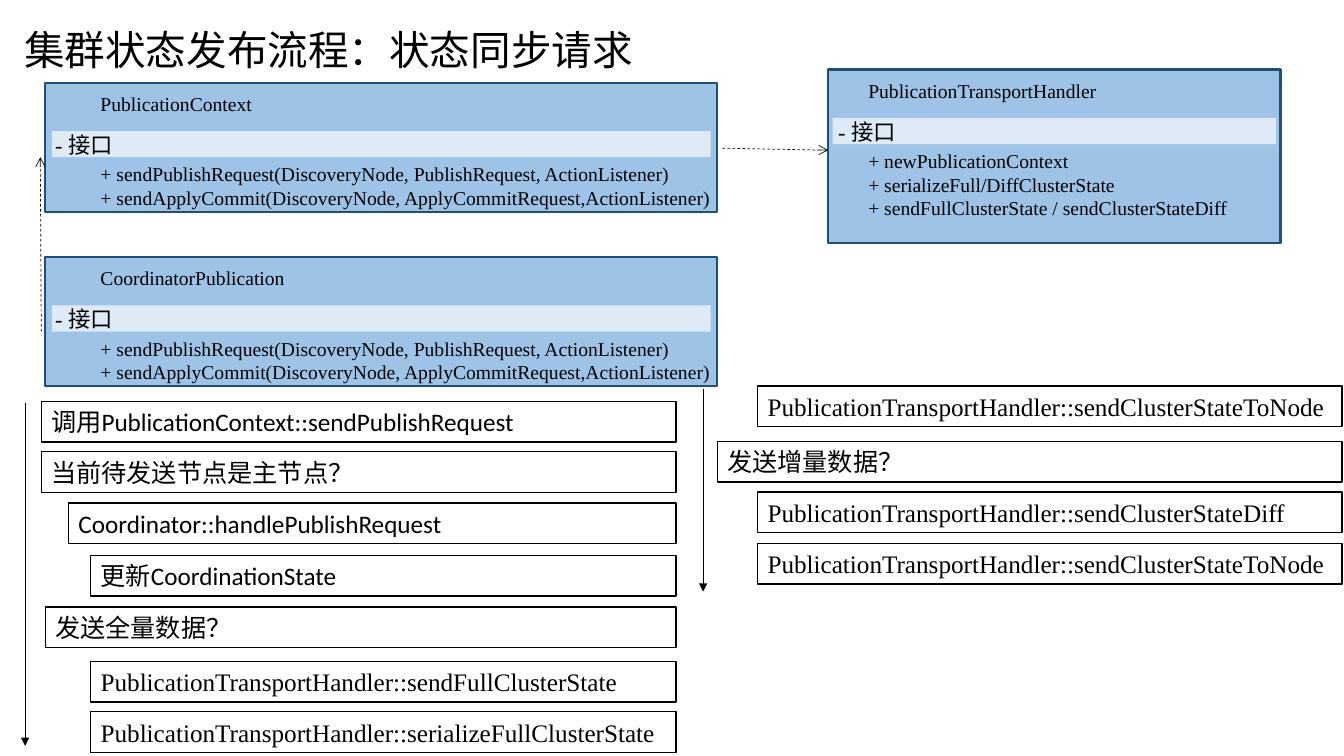
import pptx
import pptx.dml.color
import pptx.enum.dml
import pptx.enum.shapes
import pptx.enum.text
import pptx.oxml
import pptx.oxml.ns
import pptx.util

BLACK = pptx.dml.color.RGBColor(0x00, 0x00, 0x00)
WHITE = pptx.dml.color.RGBColor(0xFF, 0xFF, 0xFF)
CARD_BLUE = pptx.dml.color.RGBColor(0x9D, 0xC3, 0xE6)
CARD_EDGE = pptx.dml.color.RGBColor(0x1F, 0x4E, 0x79)
BAND_BLUE = pptx.dml.color.RGBColor(0xDE, 0xEB, 0xF7)
SERIF, SANS, CJK = "Times New Roman", "Calibri", "Noto Sans CJK SC"

deck = pptx.Presentation()
deck.slide_width = pptx.util.Inches(13.34)
deck.slide_height = pptx.util.Inches(7.5)
slide = deck.slides.add_slide(deck.slide_layouts[6])

# Grid of 100 columns by 100 rows
COL = deck.slide_width / 100
ROW = deck.slide_height / 100


def add_box(shapes, left, top, width, height, fill, edge=None, edge_width=1):
    box = shapes.add_shape(pptx.enum.shapes.MSO_SHAPE.RECTANGLE, int(left * COL),
                           int(top * ROW), int(width * COL), int(height * ROW))
    box.shadow.inherit = False
    box.fill.solid()
    box.fill.fore_color.rgb = fill
    if edge is None:
        box.line.fill.background()
    else:
        box.line.color.rgb = edge
        box.line.width = pptx.util.Pt(edge_width)
    return box


def write(frame, lines, size, font, anchor=pptx.enum.text.MSO_ANCHOR.TOP):
    frame.word_wrap = True
    frame.vertical_anchor = anchor
    frame.text = "\n".join(lines)
    for paragraph in frame.paragraphs:
        paragraph.alignment = pptx.enum.text.PP_ALIGN.LEFT
        paragraph.font.size = pptx.util.Pt(size)
        paragraph.font.name = font
        paragraph.font.color.rgb = BLACK
        # Chinese characters take their own typeface
        defaults = paragraph._p.pPr.find(pptx.oxml.ns.qn("a:defRPr"))
        defaults.append(pptx.oxml.parse_xml(
            f'<a:ea {pptx.oxml.ns.nsdecls("a")} typeface="{CJK}"/>'))


# Title
title = slide.shapes.add_textbox(int(1.05 * COL), int(0.8 * ROW),
                                 int(50.15 * COL), int(12.13 * ROW)).text_frame
write(title, ["集群状态发布流程：状态同步请求"], 29, CJK, pptx.enum.text.MSO_ANCHOR.MIDDLE)
title.paragraphs[0].line_spacing = 0.9

# Class cards: left, top, width, height, text indent, band inset, name, methods
send_methods = ["+ sendPublishRequest(DiscoveryNode, PublishRequest, ActionListener)",
                "+ sendApplyCommit(DiscoveryNode, ApplyCommitRequest,ActionListener)"]
handler_methods = ["+ newPublicationContext",
                   "+ serializeFull/DiffClusterState",
                   "+ sendFullClusterState / sendClusterStateDiff"]
classes = [
    (3.37, 10.93, 50, 17.07, 3.37, 0.49, "PublicationContext", send_methods),
    (3.37, 34, 50, 17.07, 3.37, 0.49, "CoordinatorPublication", send_methods),
    (61.62, 9.2, 33.66, 22.93, 2.25, 0.33, "PublicationTransportHandler", handler_methods),
]
for left, top, width, height, indent, inset, name, methods in classes:
    card = slide.shapes.add_group_shape().shapes
    add_box(card, left, top, width, height, CARD_BLUE, CARD_EDGE, 1.5)
    add_box(card, left + inset, top + 6.4, width - 2 * inset, 3.47, BAND_BLUE)
    for shift, drop, rows, lines, size, font in [
            (indent, 0.53, 4.53, [name], 14, SERIF),
            (0, 5.73, 4.93, ["- 接口"], 16, SERIF),
            (indent, 9.87, 1.4 + 3.1 * len(methods), methods, 14, SERIF)]:
        text = card.add_textbox(int((left + shift) * COL), int((top + drop) * ROW),
                                int((width + shift) * COL), int(rows * ROW))
        write(text.text_frame, lines, size, font)

# Call sequences: right edge, then left, top, font, call
sequences = [
    (50.3, [
        (3.07, 53.07, SANS, "调用PublicationContext::sendPublishRequest"),
        (3.07, 59.73, SANS, "当前待发送节点是主节点？"),
        (5.1, 66.53, SANS, "Coordinator::handlePublishRequest"),
        (6.75, 73.47, SANS, "更新CoordinationState"),
        (3.37, 80.27, SANS, "发送全量数据？"),
        (6.75, 87.47, SERIF, "PublicationTransportHandler::sendFullClusterState"),
        (6.75, 94.13, SERIF, "PublicationTransportHandler::serializeFullClusterState"),
    ]),
    (99.85, [
        (56.37, 51.07, SERIF, "PublicationTransportHandler::sendClusterStateToNode"),
        (53.37, 58.4, SANS, "发送增量数据？"),
        (56.37, 65.07, SERIF, "PublicationTransportHandler::sendClusterStateDiff"),
        (56.37, 71.87, SERIF, "PublicationTransportHandler::sendClusterStateToNode"),
    ]),
]
for right, steps in sequences:
    for left, top, font, call in steps:
        step = add_box(slide.shapes, left, top, right - left, 5.38, WHITE, BLACK)
        write(step.text_frame, [call], 18, font, pptx.enum.text.MSO_ANCHOR.MIDDLE)

# Arrows: dashed for class relations, solid for the order of calls
arrows = [
    (53.75, 19.6, 61.62, 19.87, "arrow"),
    (3.07, 43.87, 3, 20.8, "arrow"),
    (1.87, 53.33, 1.87, 98.67, "triangle"),
    (52.32, 51.47, 52.32, 78.27, "triangle"),
]
for x1, y1, x2, y2, head in arrows:
    arrow = slide.shapes.add_connector(
        pptx.enum.shapes.MSO_CONNECTOR.STRAIGHT,
        int(x1 * COL), int(y1 * ROW), int(x2 * COL), int(y2 * ROW))
    arrow.line.color.rgb = BLACK
    arrow.line.width = pptx.util.Pt(0.5)
    if head == "arrow":
        arrow.line.dash_style = pptx.enum.dml.MSO_LINE.DASH
    properties = arrow._element.spPr
    properties.find(pptx.oxml.ns.qn("a:ln")).append(pptx.oxml.parse_xml(
        f'<a:tailEnd {pptx.oxml.ns.nsdecls("a")} type="{head}"/>'))
    properties.append(pptx.oxml.parse_xml(
        f'<a:effectLst {pptx.oxml.ns.nsdecls("a")}/>'))

deck.save("out.pptx")
